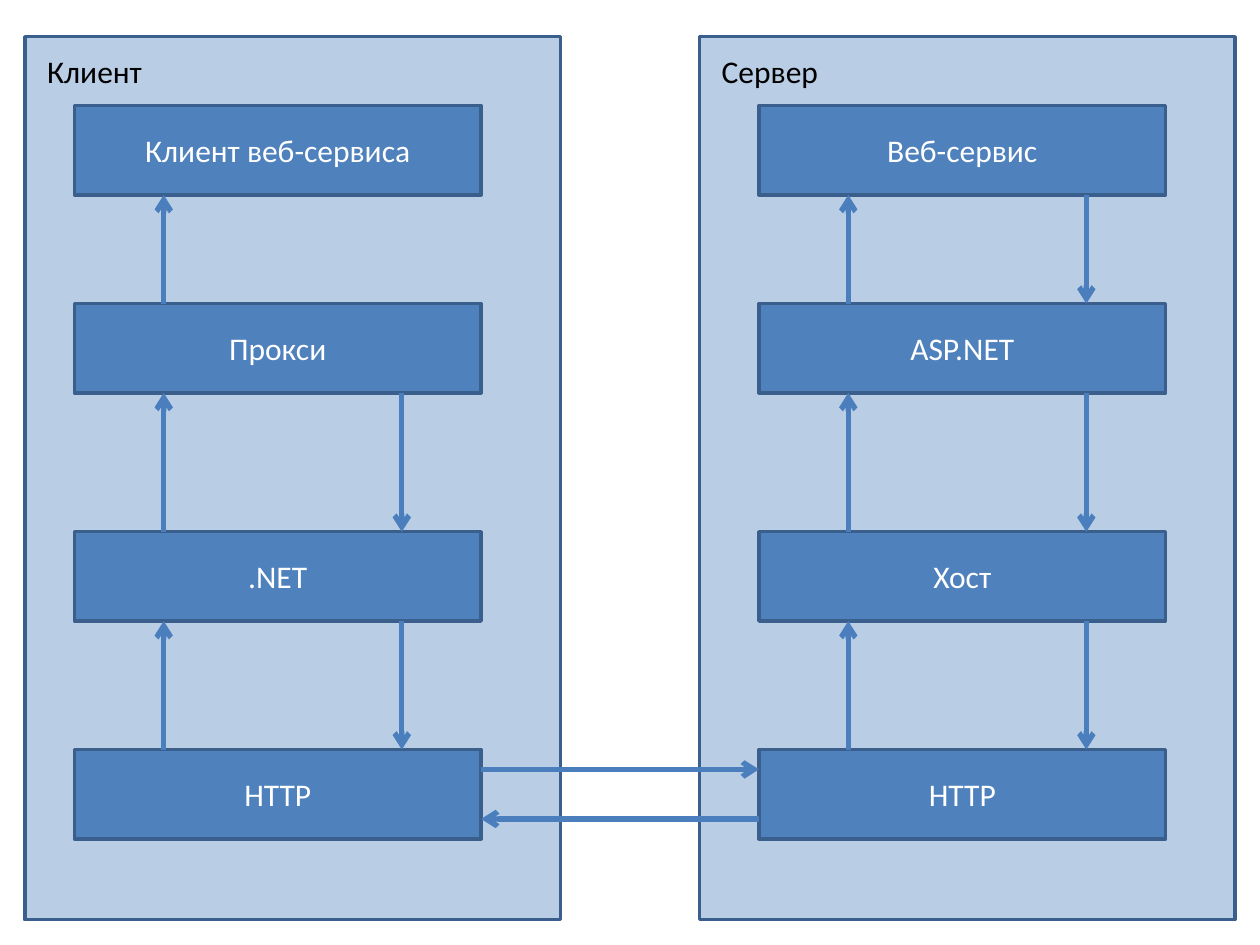
from pptx import Presentation
from pptx import util as u
from pptx.dml.color import RGBColor
from pptx.enum import shapes, text
from pptx.oxml.ns import qn
from lxml import etree

BOX_WIDTH, BOX_HEIGHT = 8.2, 1.8
BOX_TOPS = [2.13, 6.12, 10.72, 15.11]
UP_OFFSET, DOWN_OFFSET = 1.8, 6.6
REQUEST_OFFSET, REPLY_OFFSET = 0.4, 1.4
CLIENT_LEFT, SERVER_LEFT = 1.5, 15.3
CLIENT_LAYERS = ["Клиент веб-сервиса", "Прокси", ".NET", "HTTP"]
SERVER_LAYERS = ["Веб-сервис", "ASP.NET", "Хост", "HTTP"]


def color(value):
    """Return the colour for a hex string."""
    return RGBColor.from_string(value)


def write(shape, content, fill="000000", size=18, align=text.PP_ALIGN.LEFT,
          anchor=text.MSO_ANCHOR.TOP):
    """Put one formatted line of text into a shape."""
    frame = shape.text_frame
    frame.word_wrap = True
    frame.vertical_anchor = anchor
    para = frame.paragraphs[0]
    para.alignment = align
    span = para.add_run()
    span.text = content
    span.font.name = "Calibri"
    span.font.size = u.Pt(size)
    span.font.color.rgb = color(fill)


def add_rectangle(page, left, top, width, height, fill):
    """Add an outlined rectangle and return it."""
    box = page.shapes.add_shape(shapes.MSO_SHAPE.RECTANGLE, u.Cm(left), u.Cm(top),
                                u.Cm(width), u.Cm(height))
    box.shadow.inherit = False
    box.fill.solid()
    box.fill.fore_color.rgb = color(fill)
    box.line.color.rgb = color("3A5F8C")
    box.line.width = u.Pt(2)
    return box


def add_panel(page, left, title):
    """Add the background of one side with its title."""
    add_rectangle(page, left, 0.74, 10.8, 17.8, "B9CDE5")
    label = page.shapes.add_textbox(u.Cm(left + 0.2), u.Cm(0.92), u.Cm(3.6), u.Cm(1.02))
    write(label, title)
    label.text_frame.auto_size = text.MSO_AUTO_SIZE.SHAPE_TO_FIT_TEXT


def add_layers(page, left, names):
    """Add the stack of labelled boxes of one side."""
    for top, name in zip(BOX_TOPS, names):
        box = add_rectangle(page, left, top, BOX_WIDTH, BOX_HEIGHT, "4F81BD")
        write(box, name, fill="FFFFFF", align=text.PP_ALIGN.CENTER,
              anchor=text.MSO_ANCHOR.MIDDLE)


def add_arrow(page, x1, y1, x2, y2):
    """Add a straight arrow that points at its second end."""
    arrow = page.shapes.add_connector(shapes.MSO_CONNECTOR.STRAIGHT, u.Cm(x1), u.Cm(y1),
                                      u.Cm(x2), u.Cm(y2))
    arrow.line.color.rgb = color("4B7EBC")
    arrow.line.width = u.Pt(3)
    etree.SubElement(arrow.line._get_or_add_ln(), qn("a:tailEnd"), type="arrow")
    etree.SubElement(arrow._element.spPr, qn("a:effectLst"))


def add_stack_arrows(page, left, first_down):
    """Link neighbouring boxes upwards, and downwards from the given gap on."""
    for gap, (upper, lower) in enumerate(zip(BOX_TOPS, BOX_TOPS[1:])):
        bottom = upper + BOX_HEIGHT
        add_arrow(page, left + UP_OFFSET, lower, left + UP_OFFSET, bottom)
        if gap >= first_down:
            add_arrow(page, left + DOWN_OFFSET, bottom, left + DOWN_OFFSET, lower)


def add_exchange(page):
    """Link the two HTTP boxes in both directions."""
    client_edge = CLIENT_LEFT + BOX_WIDTH
    request, reply = BOX_TOPS[-1] + REQUEST_OFFSET, BOX_TOPS[-1] + REPLY_OFFSET
    add_arrow(page, client_edge, request, SERVER_LEFT, request)
    add_arrow(page, SERVER_LEFT, reply, client_edge, reply)


def main():
    """Build the slide and save it."""
    deck = Presentation()
    deck.slide_width, deck.slide_height = u.Cm(25.4), u.Cm(19.05)
    page = deck.slides.add_slide(deck.slide_layouts[6])
    add_panel(page, 0.5, "Клиент")
    add_panel(page, 14.1, "Сервер")
    add_layers(page, CLIENT_LEFT, CLIENT_LAYERS)
    add_layers(page, SERVER_LEFT, SERVER_LAYERS)
    add_exchange(page)
    add_stack_arrows(page, SERVER_LEFT, first_down=0)
    add_stack_arrows(page, CLIENT_LEFT, first_down=1)
    deck.save("out.pptx")


if __name__ == "__main__":
    main()
